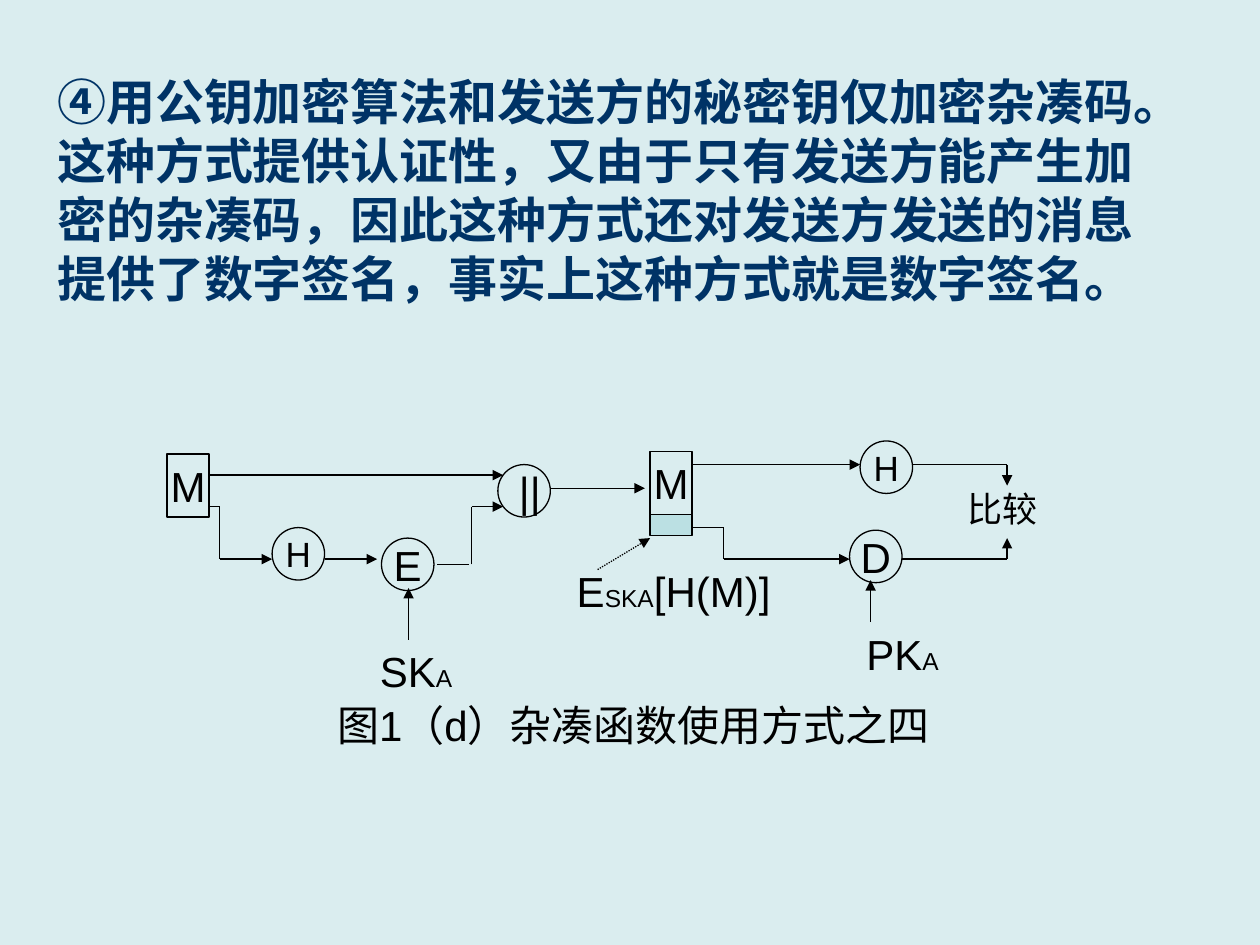
from dataclasses import dataclass
from itertools import pairwise

from lxml import etree
from pptx import Presentation
from pptx.dml import color
from pptx.enum import dml, shapes, text
from pptx.oxml import ns
from pptx.util import Pt


@dataclass
class Theme:
    bg: str = "DAEDEF"
    ink: str = "000000"
    title: str = "003366"
    code: str = "BBE0E3"
    font: str = "Arial"
    title_font: str = "Times New Roman"
    title_size: float = 28
    large: float = 24
    medium: float = 20
    sub: float = 14
    line: float = 0.75


def rgb(value):
    return color.RGBColor.from_string(value)


class Diagram:
    node = 30  # diameter of a function node

    def __init__(self, s, theme):
        self.s, self.t = s, theme
        s.background.fill.solid()
        s.background.fill.fore_color.rgb = rgb(theme.bg)

    def style(self, font, size, name=None, ink=None, bold=False):
        font.name = name or self.t.font
        font.size = Pt(size)
        font.bold = bold
        font.color.rgb = rgb(ink or self.t.ink)

    def title(self, lines, x, y, w, h):
        sp = self.s.shapes.title
        sp.left, sp.top, sp.width, sp.height = map(Pt, (x, y, w, h))
        tf = sp.text_frame
        tf.text = "\n".join(lines)
        tf.word_wrap = False
        tf.auto_size = text.MSO_AUTO_SIZE.NONE
        tf.vertical_anchor = text.MSO_ANCHOR.TOP
        for p in tf.paragraphs:
            p.alignment = text.PP_ALIGN.LEFT
            self.style(p.font, self.t.title_size, self.t.title_font,
                       self.t.title, True)

    def shape(self, kind, x, y, w, h, label="", size=None, fill=None):
        sp = self.s.shapes.add_shape(kind, *map(Pt, (x, y, w, h)))
        sp.shadow.inherit = False
        sp.line.color.rgb = rgb(self.t.ink)
        sp.line.width = Pt(self.t.line)
        if fill:
            sp.fill.solid()
            sp.fill.fore_color.rgb = rgb(fill)
        else:
            sp.fill.background()
        if label:
            tf = sp.text_frame
            tf.word_wrap = False
            tf.vertical_anchor = text.MSO_ANCHOR.MIDDLE
            p = tf.paragraphs[0]
            p.text = label
            p.alignment = text.PP_ALIGN.CENTER
            self.style(p.font, size or self.t.large)

    def block(self, x, y, h, label="", fill=None):
        self.shape(shapes.MSO_SHAPE.RECTANGLE, x, y, 24, h, label, fill=fill)

    def circle(self, x, y, label, size):
        self.shape(shapes.MSO_SHAPE.OVAL, x, y, self.node, self.node,
                   label, size)

    def label(self, x, y, w, h, *parts, wrap=False):
        """Each part is a pair of wording and type size."""
        tf = self.s.shapes.add_textbox(*map(Pt, (x, y, w, h))).text_frame
        tf.word_wrap = wrap
        p = tf.paragraphs[0]
        for words, size in parts:
            r = p.add_run()
            r.text = words
            self.style(r.font, size)

    def route(self, *points, arrow=True, dotted=False):
        """Straight segments through the points, with an arrow at the end."""
        for (x1, y1), (x2, y2) in pairwise(points):
            c = self.s.shapes.add_connector(
                shapes.MSO_CONNECTOR.STRAIGHT, *map(Pt, (x1, y1, x2, y2)))
            c.line.color.rgb = rgb(self.t.ink)
            c.line.width = Pt(self.t.line)
            if dotted:
                c.line.dash_style = dml.MSO_LINE.ROUND_DOT
            etree.SubElement(c._element.spPr, ns.qn("a:effectLst"))
        if arrow:
            etree.SubElement(c.line._get_or_add_ln(), ns.qn("a:tailEnd"),
                             type="triangle")


def main():
    prs = Presentation()
    prs.slide_width, prs.slide_height = Pt(720), Pt(540)
    t = Theme()
    d = Diagram(prs.slides.add_slide(prs.slide_layouts[5]), t)

    # Explanation
    d.title(["④用公钥加密算法和发送方的秘密钥仅加密杂凑码。",
             "这种方式提供认证性，又由于只有发送方能产生加",
             "密的杂凑码，因此这种方式还对发送方发送的消息",
             "提供了数字签名，事实上这种方式就是数字签名。"],
            25.5, 37.5, 662, 142.5)

    # Message blocks, the second with its encrypted hash code
    d.block(95.5, 259.5, 36, "M")
    d.block(371.5, 258, 36, "M")
    d.block(371.5, 294, 12, fill=t.code)

    # Function nodes
    for x, y, name, size in [(155.5, 301.5, "H", t.medium),
                             (218, 307.5, "E", t.large),
                             (284.5, 265.5, " ||", t.large),
                             (491.5, 252, "H", t.medium),
                             (485.5, 303, "D", t.large)]:
        d.circle(x, y, name, size)

    # Sender side
    d.route((119.5, 271.5), (287.5, 271.5))
    d.route((119.5, 289.5), (125.5, 289.5), (125.5, 319.5), (155.5, 319.5))
    d.route((185.5, 319.5), (215.5, 319.5))
    d.route((250, 322.5), (268, 322.5), arrow=False)
    d.route((269.5, 322.5), (269.5, 289.5), (287.5, 289.5))
    d.route((233.5, 365.5), (233.5, 336))
    d.route((314.5, 279), (368.5, 279))

    # Receiver side
    d.route((395.5, 265.5), (491.5, 265.5))
    d.route((395.5, 301.5), (413.5, 301.5), (413.5, 319.5), (485.5, 319.5))
    d.route((521.5, 265.5), (575.5, 265.5), (575.5, 277.5))
    d.route((515.5, 319.5), (575.5, 319.5), (575.5, 307.5))
    d.route((497.5, 355.5), (497.5, 331.5))
    d.route((341.5, 325.5), (371.5, 307.5), dotted=True)

    # Labels and caption
    d.label(322.5, 319.5, 125, 36,
            ("E", t.large), ("SKA", t.sub), ("[H(M)]", t.large))
    d.label(210, 365.5, 56, 36, ("SK", t.large), ("A", t.sub))
    d.label(488, 355.5, 56, 36, ("PK", t.large), ("A", t.sub))
    d.label(546, 275, 55, 31, ("比较", t.medium))
    d.label(185.5, 396, 353.5, 36,
            ("图1（d）杂凑函数使用方式之四", t.large), wrap=True)

    prs.save("out.pptx")


if __name__ == "__main__":
    main()
